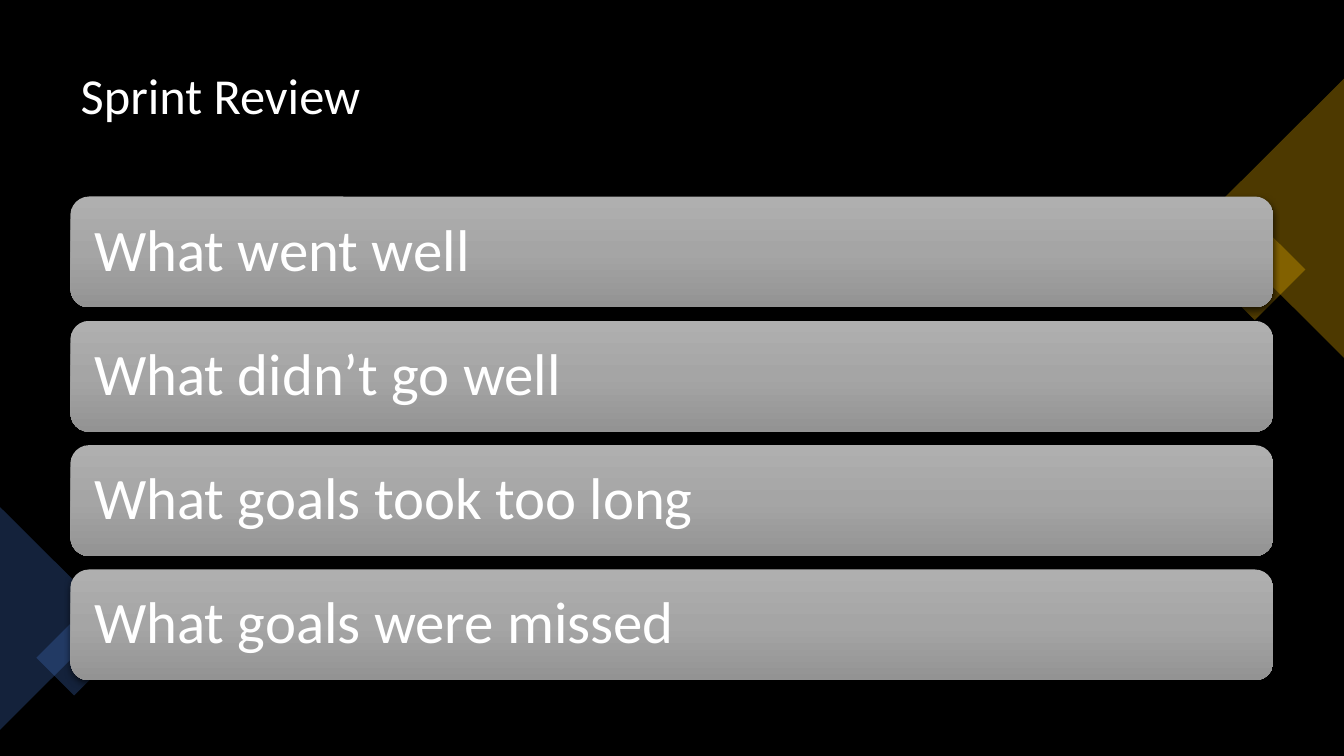
from copy import deepcopy

from lxml.etree import SubElement
from pptx import Presentation
from pptx.dml.color import RGBColor
from pptx.enum.shapes import MSO_SHAPE
from pptx.enum.text import MSO_ANCHOR, PP_ALIGN
from pptx.oxml.ns import qn
from pptx.util import Inches, Pt

TITLE = "Sprint Review"
QUESTIONS = [
    "What went well",
    "What didn’t go well",
    "What goals took too long",
    "What goals were missed",
]
FONT = "Calibri"
WHITE, BLACK, GOLD, BLUE = "FFFFFF", "000000", "FFC000", "4472C4"
BAR_STOPS = [(0, "AFAFAF"), (0.5, "A5A5A5"), (1, "939393")]

# shape, left, top, width, height, rotation, colour
DECORATIONS = [
    (MSO_SHAPE.RECTANGLE, 12.09, 2.32, 0.71, 0.71, 45, GOLD),
    (MSO_SHAPE.ISOSCELES_TRIANGLE, 11.25, 1.47, 2.77, 1.39, 270, GOLD),
    (MSO_SHAPE.ISOSCELES_TRIANGLE, -0.55, 5.58, 2.21, 1.11, 90, BLUE),
    (MSO_SHAPE.RECTANGLE, 0.47, 6.26, 0.53, 0.53, 45, BLUE),
]
LEFT, WIDTH = 0.7, 11.93
BAR_TOP, LAST_BAR_TOP, BAR_HEIGHT = 1.95, 5.65, 1.1


def color(hex_code):
    return RGBColor.from_string(hex_code)


def add_plain_shape(page, kind, left, top, width, height):
    """Add a shape without line or shadow."""
    shape = page.shapes.add_shape(
        kind, Inches(left), Inches(top), Inches(width), Inches(height))
    shape.line.fill.background()
    shape.shadow.inherit = False
    return shape


def set_text(frame, text, size):
    frame.text = text
    frame.word_wrap = True
    frame.vertical_anchor = MSO_ANCHOR.MIDDLE
    para = frame.paragraphs[0]
    para.alignment = PP_ALIGN.LEFT
    para.line_spacing = 0.9
    para.font.name = FONT
    para.font.size = Pt(size)
    para.font.color.rgb = color(WHITE)


def add_decoration(page, kind, left, top, width, height, rotation, hex_code):
    """Add a rotated shape at 30% opacity."""
    shape = add_plain_shape(page, kind, left, top, width, height)
    shape.rotation = rotation
    shape.fill.solid()
    shape.fill.fore_color.rgb = color(hex_code)
    tone = shape.fill._xPr.find(".//" + qn("a:srgbClr"))
    SubElement(tone, qn("a:alpha"), val="30000")


def fill_gradient(shape, stops):
    """Fill from top to bottom through any number of stops."""
    shape.fill.gradient()
    shape.fill.gradient_angle = 270
    stop_list = shape._element.spPr.find(".//" + qn("a:gsLst"))
    while len(stop_list) < len(stops):
        stop_list.append(deepcopy(stop_list[0]))
    for stop, (position, hex_code) in zip(shape.fill.gradient_stops, stops):
        stop.position = position
        stop.color.rgb = color(hex_code)


def add_shadow(shape):
    effects = shape._element.spPr.find(qn("a:effectLst"))
    shadow = SubElement(
        effects, qn("a:outerShdw"), blurRad=str(Pt(4.5)), dist=str(Pt(1.5)),
        dir="5400000", algn="ctr", rotWithShape="0")
    tone = SubElement(shadow, qn("a:srgbClr"), val=BLACK)
    SubElement(tone, qn("a:alpha"), val="63000")


def add_bar(page, top, text):
    bar = add_plain_shape(
        page, MSO_SHAPE.ROUNDED_RECTANGLE, LEFT, top, WIDTH, BAR_HEIGHT)
    fill_gradient(bar, BAR_STOPS)
    add_shadow(bar)
    frame = bar.text_frame
    set_text(frame, text, 42)
    frame.margin_left = frame.margin_right = Inches(0.18)


def main():
    deck = Presentation()
    deck.slide_width, deck.slide_height = Inches(13.33), Inches(7.5)
    page = deck.slides.add_slide(deck.slide_layouts[5])
    page.background.fill.solid()
    page.background.fill.fore_color.rgb = color(BLACK)

    title = page.shapes.title
    title.left, title.top = Inches(LEFT), Inches(0.35)
    title.width, title.height = Inches(WIDTH), Inches(1.24)
    set_text(title.text_frame, TITLE, 36)

    for decoration in DECORATIONS:
        add_decoration(page, *decoration)

    pitch = (LAST_BAR_TOP - BAR_TOP) / (len(QUESTIONS) - 1)
    for index, question in enumerate(QUESTIONS):
        add_bar(page, BAR_TOP + index * pitch, question)

    deck.save("out.pptx")


if __name__ == "__main__":
    main()
